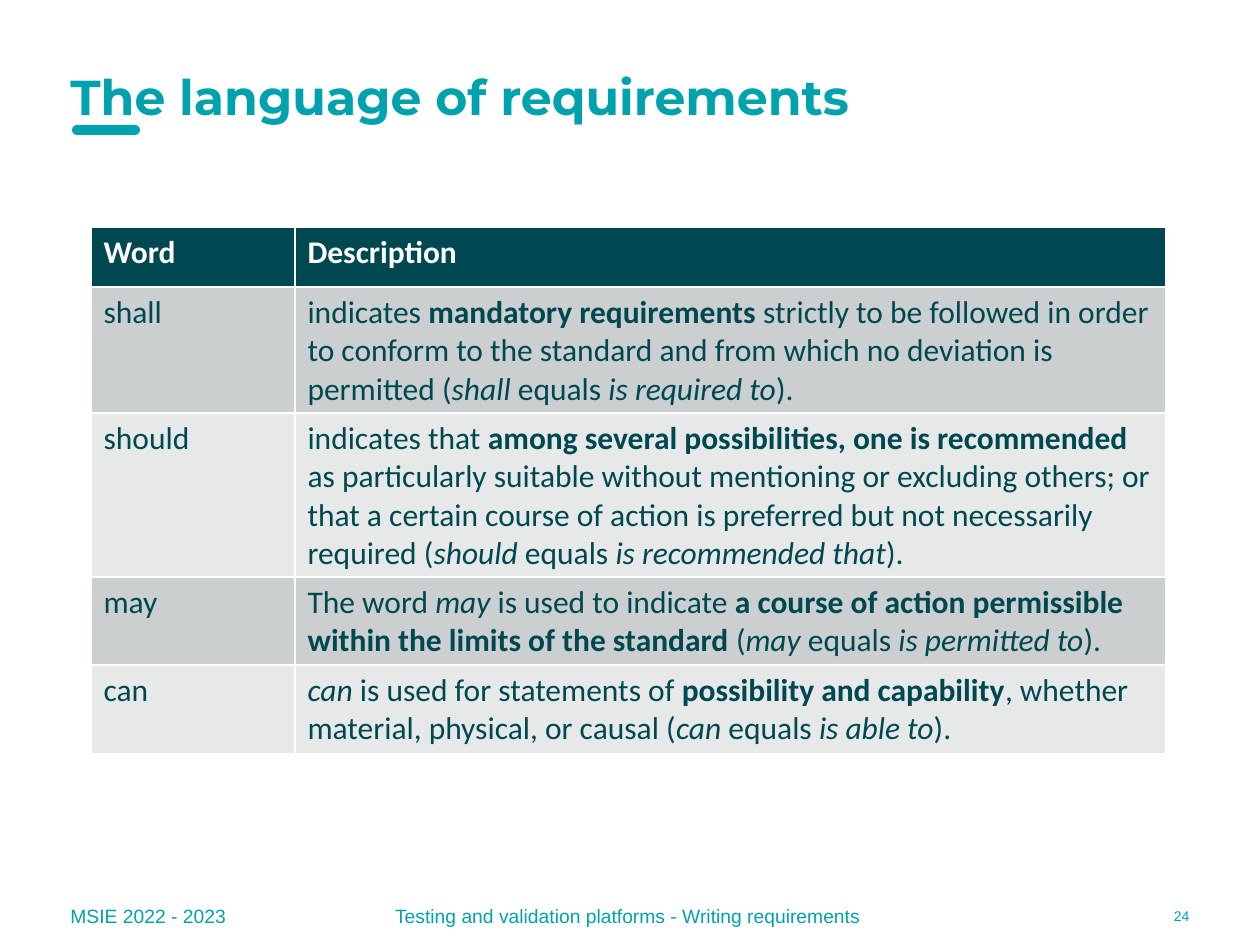
from pptx import Presentation
from pptx.dml.color import RGBColor
from pptx.enum.shapes import MSO_SHAPE
from pptx.enum.text import MSO_ANCHOR, PP_ALIGN
from pptx.util import Emu, Pt

ROUNDED = MSO_SHAPE.ROUNDED_RECTANGLE
MIDDLE = MSO_ANCHOR.MIDDLE
LEFT, CENTER, RIGHT = PP_ALIGN.LEFT, PP_ALIGN.CENTER, PP_ALIGN.RIGHT

TEAL = RGBColor(0x00, 0xA3, 0xAD)
DARK_TEAL = RGBColor(0x00, 0x48, 0x51)
WHITE = RGBColor(0xFF, 0xFF, 0xFF)
GRAY = RGBColor(0xCC, 0xCF, 0xD0)
LIGHT_GRAY = RGBColor(0xE7, 0xE9, 0xE9)

PLAIN, BOLD, ITALIC = "plain", "bold", "italic"

REQUIREMENT_WORDS = [
    ("shall", "is required to", [
        ("indicates ", PLAIN),
        ("mandatory requirements ", BOLD),
        ("strictly to be followed in order to conform to the standard and "
         "from which no deviation is permitted (", PLAIN)]),
    ("should", "is recommended that", [
        ("indicates that ", PLAIN),
        ("among several possibilities, one is recommended ", BOLD),
        ("as particularly suitable without mentioning or excluding others; "
         "or that a certain course of action is preferred but not "
         "necessarily required (", PLAIN)]),
    ("may", "is permitted to", [
        ("The word ", PLAIN),
        ("may ", ITALIC),
        ("is used to indicate ", PLAIN),
        ("a course of action permissible within the limits of the standard ", BOLD),
        ("(", PLAIN)]),
    ("can", "is able to", [
        ("can ", ITALIC),
        ("is used for statements of ", PLAIN),
        ("possibility and capability", BOLD),
        (", whether material, physical, or causal (", PLAIN)]),
]


class SlideBuilder:
    """Draws styled elements on one slide, with lengths in px."""

    SCALE = 914400 / 126
    TITLE_FONT, TABLE_FONT, FOOTER_FONT = "Montserrat", "Calibri", "Arial"

    def __init__(self, slide):
        self.slide = slide

    @classmethod
    def emu(cls, *lengths):
        return [Emu(round(length * cls.SCALE)) for length in lengths]

    def style(self, paragraph, font_name, size, color, bold=None):
        font = paragraph.font
        font.name, font.size, font.bold = font_name, Pt(size), bold
        font.color.rgb = color

    def text(self, box, text, font_name, size, align=LEFT, bold=None):
        frame = self.slide.shapes.add_textbox(*self.emu(*box)).text_frame
        frame.word_wrap = True
        frame.vertical_anchor = MIDDLE
        paragraph = frame.paragraphs[0]
        paragraph.text = text
        paragraph.alignment = align
        self.style(paragraph, font_name, size, TEAL, bold)

    def bar(self, box):
        shape = self.slide.shapes.add_shape(ROUNDED, *self.emu(*box))
        shape.adjustments[0] = 0.5
        shape.shadow.inherit = False
        shape.fill.solid()
        shape.fill.fore_color.rgb = TEAL
        shape.line.fill.background()

    def cell(self, cell, runs, fill, color, bold=None):
        cell.fill.solid()
        cell.fill.fore_color.rgb = fill
        paragraph = cell.text_frame.paragraphs[0]
        self.style(paragraph, self.TABLE_FONT, 18, color, bold)
        for text, emphasis in runs:
            run = paragraph.add_run()
            run.text = text
            if emphasis == BOLD:
                run.font.bold = True
            elif emphasis == ITALIC:
                run.font.italic = True

    def table(self, left, top, column_widths, row_height, headings, rows):
        row_count = len(rows) + 1
        box = self.emu(left, top, sum(column_widths), row_height * row_count)
        table = self.slide.shapes.add_table(row_count, len(headings), *box).table
        table.horz_banding = False
        for column, width in zip(table.columns, self.emu(*column_widths)):
            column.width = width
        for index, heading in enumerate(headings):
            self.cell(table.cell(0, index), [(heading, PLAIN)], DARK_TEAL, WHITE, True)
        for row_index, row in enumerate(rows, start=1):
            fill = GRAY if row_index % 2 else LIGHT_GRAY
            for index, runs in enumerate(row):
                self.cell(table.cell(row_index, index), runs, fill, DARK_TEAL)


def table_row(word, meaning, description):
    equivalence = [(f"{word} ", ITALIC), ("equals ", PLAIN),
                   (meaning, ITALIC), (").", PLAIN)]
    return [(word, PLAIN)], description + equivalence


def main():
    presentation = Presentation()
    presentation.slide_width, presentation.slide_height = SlideBuilder.emu(1260, 945)
    builder = SlideBuilder(presentation.slides.add_slide(presentation.slide_layouts[6]))

    builder.bar((72, 125, 68, 10))
    footers = [
        (58, 194, "MSIE 2022 - 2023", 11, LEFT),
        (299, 658, "Testing and validation platforms - Writing requirements", 11, CENTER),
        (1048, 154, "24", 8, RIGHT),
    ]
    for left, width, text, size, align in footers:
        builder.text((left, 891, width, 50), text, builder.FOOTER_FONT, size, align)
    builder.text((58, 66, 1056, 59), "The language of requirements",
                 builder.TITLE_FONT, 28, bold=True)
    builder.table(91, 227, (204, 871), 60, ("Word", "Description"),
                  [table_row(*entry) for entry in REQUIREMENT_WORDS])
    presentation.save("out.pptx")


if __name__ == "__main__":
    main()
